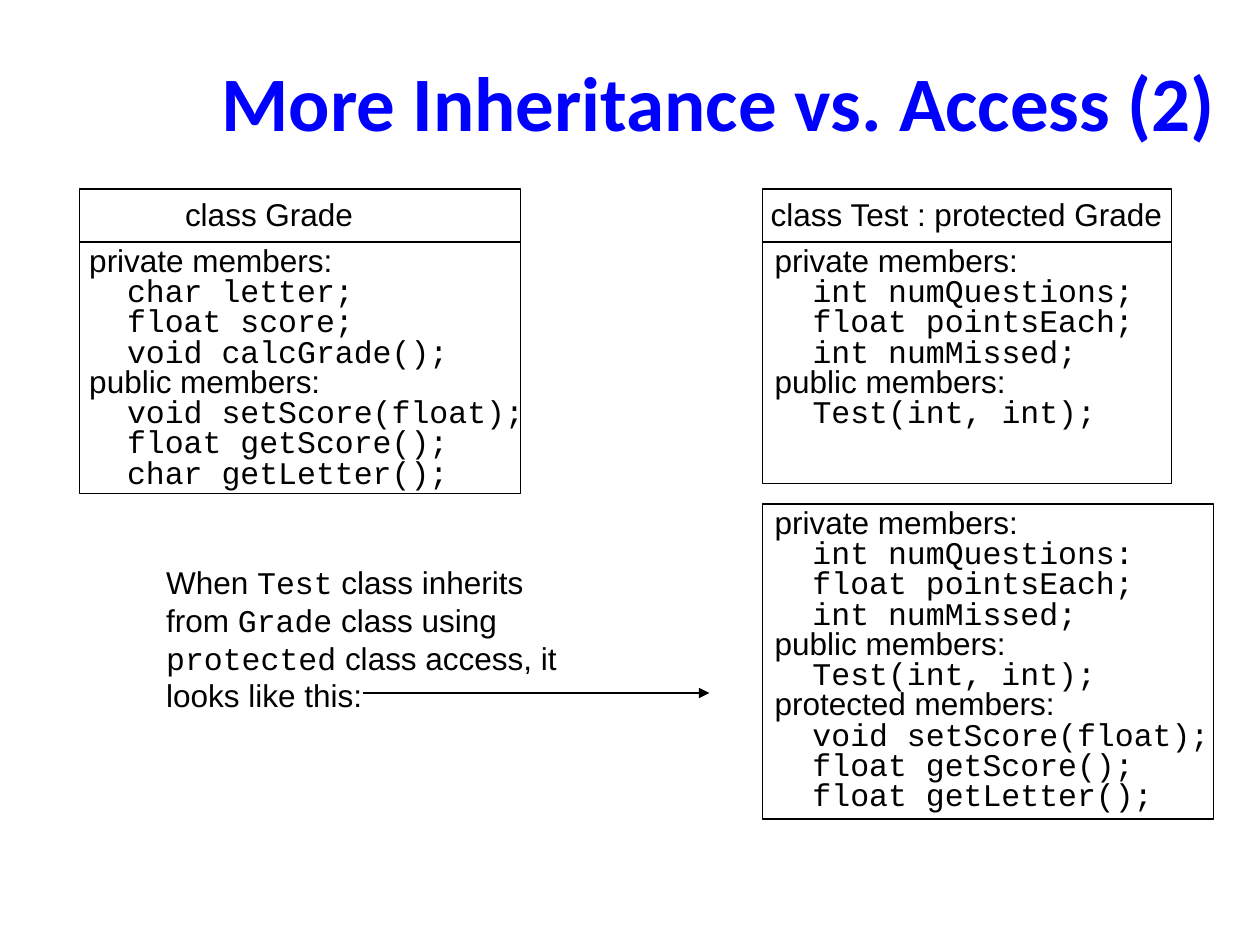
from pptx import Presentation
from pptx.dml.color import RGBColor
from pptx.enum.shapes import MSO_CONNECTOR, MSO_SHAPE
from pptx.enum.text import MSO_ANCHOR, PP_ALIGN
from pptx.oxml.ns import qn
from pptx.util import Inches, Pt
from lxml import etree

BLACK = RGBColor(0x00, 0x00, 0x00)
BLUE = RGBColor(0x00, 0x00, 0xFF)
WHITE = RGBColor(0xFF, 0xFF, 0xFF)
RECT = MSO_SHAPE.RECTANGLE
STRAIGHT = MSO_CONNECTOR.STRAIGHT
TOP, MIDDLE = MSO_ANCHOR.TOP, MSO_ANCHOR.MIDDLE
LEFT, CENTER = PP_ALIGN.LEFT, PP_ALIGN.CENTER
SANS, MONO, HEADING = "Arial", "Courier New", "Calibri"


class Deck:
    def __init__(self):
        self.prs = Presentation()
        self.prs.slide_width, self.prs.slide_height = Inches(10), Inches(7.5)
        self.s = self.prs.slides.add_slide(self.prs.slide_layouts[6])
        self.line_width = Pt(0.75)

    def rect(self, box, fill=None, outlined=False):
        sp = self.s.shapes.add_shape(RECT, *map(Inches, box))
        sp.shadow.inherit = False
        if fill is None:
            sp.fill.background()
        else:
            sp.fill.solid()
            sp.fill.fore_color.rgb = fill
        if outlined:
            sp.line.color.rgb = BLACK
            sp.line.width = self.line_width
        else:
            sp.line.fill.background()
        return sp

    def text(self, box, paragraphs, size=18, color=BLACK, bold=False,
             align=LEFT, anchor=TOP, spacing=1.0, fill=WHITE):
        tf = self.rect(box, fill).text_frame
        tf.word_wrap = True
        tf.vertical_anchor = anchor
        tf.margin_left, tf.margin_right = Inches(0.1), Inches(0)
        if align == CENTER:
            tf.margin_right = tf.margin_left
        for i, runs in enumerate(paragraphs):
            p = tf.add_paragraph() if i else tf.paragraphs[0]
            p.alignment = align
            p.line_spacing = spacing
            for words, font in runs:
                r = p.add_run()
                r.text = words
                r.font.name = font
                r.font.size = Pt(size)
                r.font.bold = bold
                r.font.color.rgb = color

    def members(self, box, groups):
        paragraphs = []
        for access, declarations in groups:
            paragraphs.append([(f"{access} members:", SANS)])
            paragraphs += [[(f"  {code}", MONO)] for code in declarations]
        self.text(box, paragraphs, spacing=0.8)

    def label(self, box, words, fill=WHITE):
        self.text(box, [[(words, SANS)]], align=CENTER, fill=fill)

    def arrow(self, x1, y1, x2, y2):
        c = self.s.shapes.add_connector(STRAIGHT, *map(Inches, (x1, y1, x2, y2)))
        c.line.color.rgb = BLACK
        c.line.width = self.line_width
        tail = etree.SubElement(c.line._get_or_add_ln(), qn("a:tailEnd"))
        tail.set("type", "triangle")
        etree.SubElement(c._element.spPr, qn("a:effectLst"))


def main():
    d = Deck()
    d.text((1.61, 0.42, 8.19, 0.75),
           [[("More Inheritance vs. Access (2)", HEADING)]],
           size=44, color=BLUE, bold=True, align=CENTER, anchor=MIDDLE)

    d.members((0.61, 1.92, 3.65, 2.02), [
        ("private", ["char letter;", "float score;", "void calcGrade();"]),
        ("public", ["void setScore(float);", "float getScore();",
                    "char getLetter();"]),
    ])
    d.rect((0.63, 1.92, 3.5, 2), outlined=True)
    d.label((1.34, 1.5, 1.59, 0.4), "class Grade")
    d.rect((0.63, 1.5, 3.5, 0.42), outlined=True)

    test_public = ("public", ["Test(int, int);"])
    d.members((6.05, 1.92, 3.08, 1.54), [
        ("private", ["int numQuestions;", "float pointsEach;",
                     "int numMissed;"]),
        test_public,
    ])
    d.rect((6.05, 1.92, 3.25, 1.92), outlined=True)
    d.rect((6.05, 1.5, 3.25, 0.42), fill=WHITE, outlined=True)

    d.text((1.22, 4.42, 3.42, 1.3), [
        [("When ", SANS), ("Test", MONO), (" class inherits", SANS)],
        [("from ", SANS), ("Grade", MONO), (" class using", SANS)],
        [("protected", MONO), (" class access, it looks like this:", SANS)],
    ])

    d.members((6.05, 4, 3.83, 2.5), [
        ("private", ["int numQuestions:", "float pointsEach;",
                     "int numMissed;"]),
        test_public,
        ("protected", ["void setScore(float);", "float getScore();",
                       "float getLetter();"]),
    ])
    d.rect((6.05, 4, 3.58, 2.5), outlined=True)
    d.arrow(2.88, 5.5, 5.63, 5.5)
    d.label((5.88, 1.5, 3.58, 0.4), "class Test : protected Grade", fill=None)

    d.prs.save("out.pptx")


if __name__ == "__main__":
    main()
